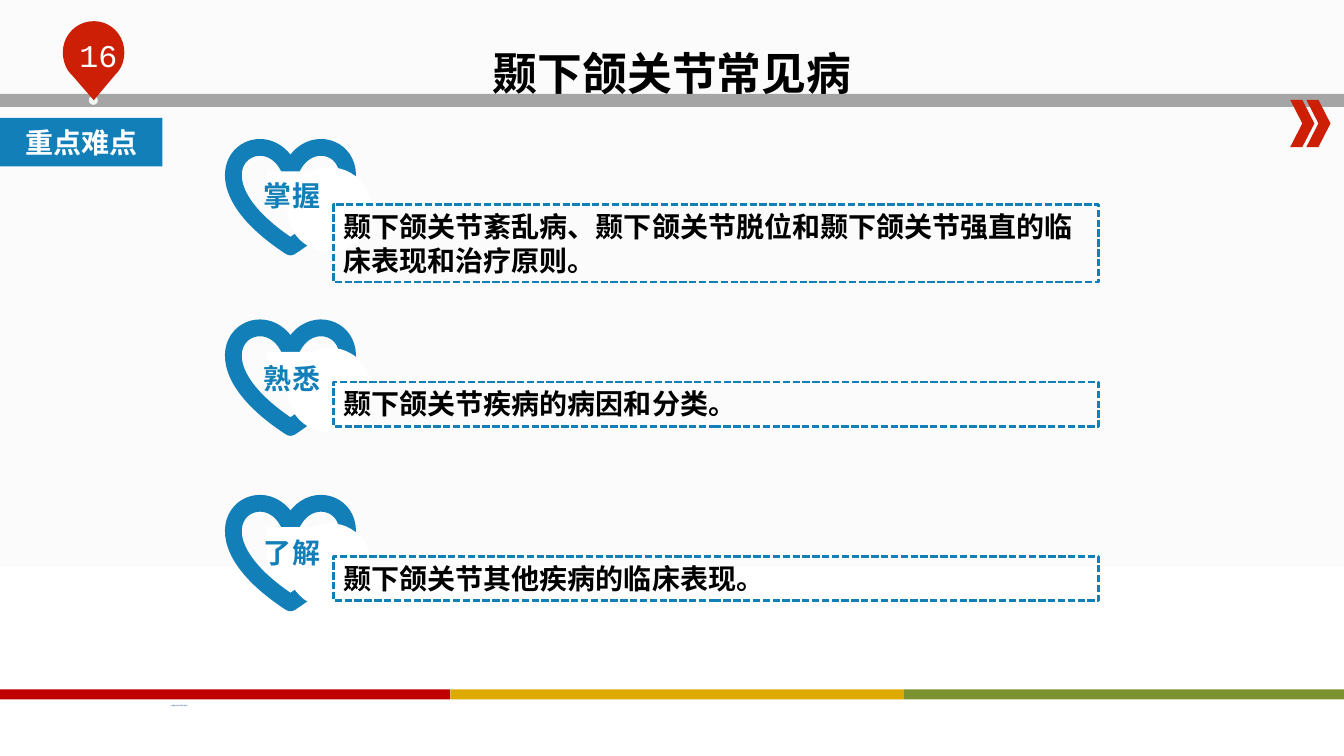
from lxml.etree import SubElement
from pptx import Presentation
from pptx.dml.color import RGBColor
from pptx.enum.dml import MSO_LINE
from pptx.enum.shapes import MSO_SHAPE
from pptx.enum.text import MSO_ANCHOR, MSO_AUTO_SIZE, PP_ALIGN
from pptx.oxml.ns import qn
from pptx.util import Pt

TITLE = "颞下颌关节常见病"
SECTION = "重点难点"
PAGE_NUMBER = "16"
FOOTER = "上海健康医学院附属周浦医院"
# level, heart top, mask height, label offset, box top, box height, goal
GOALS = [
    ("掌握", 104.4, 25.2, 18, 146.2, 55.4,
     "颞下颌关节紊乱病、颞下颌关节脱位和颞下颌关节强直的临床表现和治疗原则。"),
    ("熟悉", 233.3, 16.6, 19.4, 272.9, 31.7, "颞下颌关节疾病的病因和分类。"),
    ("了解", 358.6, 33.1, 18.7, 397.4, 31.7, "颞下颌关节其他疾病的临床表现。"),
]
COLORS = {
    "blue": "127FB8", "red": "CD1F06", "gray": "A5A5A5", "dot": "F6F6F6",
    "white": "FFFFFF", "black": "000000", "navy": "1F497D",
}
STRIPES = ["C00000", "DEA900", "7C912F"]
BACKDROP = [(0, "FBFBFB"), (50, "FBFBFB"), (100, "FFFFFF"), (100, "FCFCFC")]
CJK = "Noto Sans CJK SC"
# Pin outline: start, then cubic curves and straight lines, in points
PIN_START = (67, 15.1)
PIN = [
    [(79.2, 15.1), (88.8, 25), (88.8, 37.4)],
    [(88.8, 43.9), (86.4, 49.5), (82.1, 53.6)],
    [(67, 71.6)],
    [(51.4, 53.6)],
    [(50.4, 52.6), (49, 51.1), (48.2, 49.7)],
    [(46.1, 46.1), (44.9, 41.8), (44.9, 37.4)],
    [(44.9, 25), (54.7, 15.1), (67, 15.1)],
]

deck = Presentation()
deck.slide_width, deck.slide_height = Pt(960), Pt(540)
page = deck.slides.add_slide(deck.slide_layouts[5])
shapes = page.shapes


def add_block(kind, left, top, width, height, fill=None, line=None,
              weight=1, dash=None):
    block = shapes.add_shape(kind, Pt(left), Pt(top), Pt(width), Pt(height))
    block.shadow.inherit = False
    if fill:
        block.fill.solid()
        block.fill.fore_color.rgb = RGBColor.from_string(fill)
    else:
        block.fill.background()
    if line:
        block.line.color.rgb = RGBColor.from_string(line)
        block.line.width = Pt(weight)
        block.line.dash_style = dash
    else:
        block.line.fill.background()
    return block


def add_text_box(left, top, width, height):
    return shapes.add_textbox(Pt(left), Pt(top), Pt(width), Pt(height))


def write(box, text, size, color, align=PP_ALIGN.CENTER,
          anchor=MSO_ANCHOR.MIDDLE, font=CJK, bold=True, wrap=True):
    frame = box.text_frame
    frame.word_wrap = wrap
    frame.auto_size = MSO_AUTO_SIZE.NONE
    frame.vertical_anchor = anchor
    para = frame.paragraphs[0]
    para.alignment = align
    span = para.add_run()
    span.text = text
    span.font.size = Pt(size)
    span.font.bold = bold
    span.font.color.rgb = RGBColor.from_string(color)
    span.font.name = font
    SubElement(span.font._element, qn("a:ea")).set("typeface", font)


def cubic_points(start, curve, steps=10):
    """Points along a cubic curve; a single point is a straight line."""
    if len(curve) == 1:
        return curve
    knots = [start] + curve
    points = []
    for step in range(1, steps + 1):
        t = step / steps
        weights = [(1 - t) ** 3, 3 * t * (1 - t) ** 2, 3 * t * t * (1 - t), t ** 3]
        points.append(tuple(sum(w * knot[axis] for w, knot in zip(weights, knots))
                            for axis in (0, 1)))
    return points


# Background gradient, top to bottom
page.background.fill.gradient()
page.background.fill.gradient_angle = 270
stops = page.element.find(".//" + qn("a:gsLst"))
for stop in list(stops):
    stops.remove(stop)
for percent, color in BACKDROP:
    stop = SubElement(stops, qn("a:gs"), pos=str(percent * 1000))
    SubElement(stop, qn("a:srgbClr"), val=color)

# Header bar with chevrons and page-number pin
add_block(MSO_SHAPE.RECTANGLE, 0, 67, 960, 9.4, COLORS["gray"])
for left in (921.6, 933.1):
    add_block(MSO_SHAPE.CHEVRON, left, 71.3, 17.3, 33.8, COLORS["red"])
add_block(MSO_SHAPE.OVAL, 63.4, 68.4, 6.5, 6.5, COLORS["dot"])

outline, last = [], PIN_START
for curve in PIN:
    outline += cubic_points(last, curve)
    last = curve[-1]
builder = shapes.build_freeform(*[round(Pt(v)) for v in PIN_START])
builder.add_line_segments([(round(Pt(x)), round(Pt(y))) for x, y in outline])
pin = builder.convert_to_shape()
pin.shadow.inherit = False
pin.fill.solid()
pin.fill.fore_color.rgb = RGBColor.from_string(COLORS["red"])
pin.line.fill.background()
write(add_text_box(39, 22.3, 62.6, 29.5), PAGE_NUMBER, 22.6, COLORS["white"],
      anchor=MSO_ANCHOR.TOP, font="Courier New", bold=False)

# Footer stripes and small print
for index, color in enumerate(STRIPES):
    add_block(MSO_SHAPE.RECTANGLE, -2.5 + index * 324.2, 492.5, 324, 7.2, color)
write(add_text_box(114.5, 500.4, 27.4, 8.6), FOOTER, 1, COLORS["navy"],
      align=PP_ALIGN.LEFT, anchor=MSO_ANCHOR.TOP, bold=False, wrap=False)

# Title, brought in front of the header bar
title = shapes.title
title.left, title.top, title.width, title.height = Pt(66.2), Pt(28.8), Pt(828), Pt(104.4)
write(title, TITLE, 32, COLORS["black"], anchor=MSO_ANCHOR.TOP)
shapes._spTree.append(title._element)

# Section tag
tag = add_block(MSO_SHAPE.RECTANGLE, 0, 84.2, 116, 34.6, COLORS["blue"])
write(tag, SECTION, 20, COLORS["white"])

# Hearts, partly masked, with their level labels
for level, top, mask_height, label_offset, *_ in GOALS:
    add_block(MSO_SHAPE.HEART, 167, top, 81, 72, line=COLORS["blue"], weight=12)
    add_block(MSO_SHAPE.OVAL, 205.2, top + 15.1, 60.5, 60.5, COLORS["white"])
    add_block(MSO_SHAPE.RECTANGLE, 190.8, top + 18, 33.1, mask_height, COLORS["white"])
    write(add_text_box(163.6, top + label_offset, 90, 34.6), level, 20, COLORS["blue"])

# Dashed goal boxes
for *_, top, height, goal in GOALS:
    box = add_block(MSO_SHAPE.RECTANGLE, 238.3, top, 546.5, height,
                    line=COLORS["blue"], weight=1.75, dash=MSO_LINE.SQUARE_DOT)
    box.line._ln.find(qn("a:prstDash")).set("val", "sysDash")
    write(box, goal, 20, COLORS["black"], align=PP_ALIGN.LEFT, anchor=MSO_ANCHOR.TOP)

deck.save("out.pptx")
